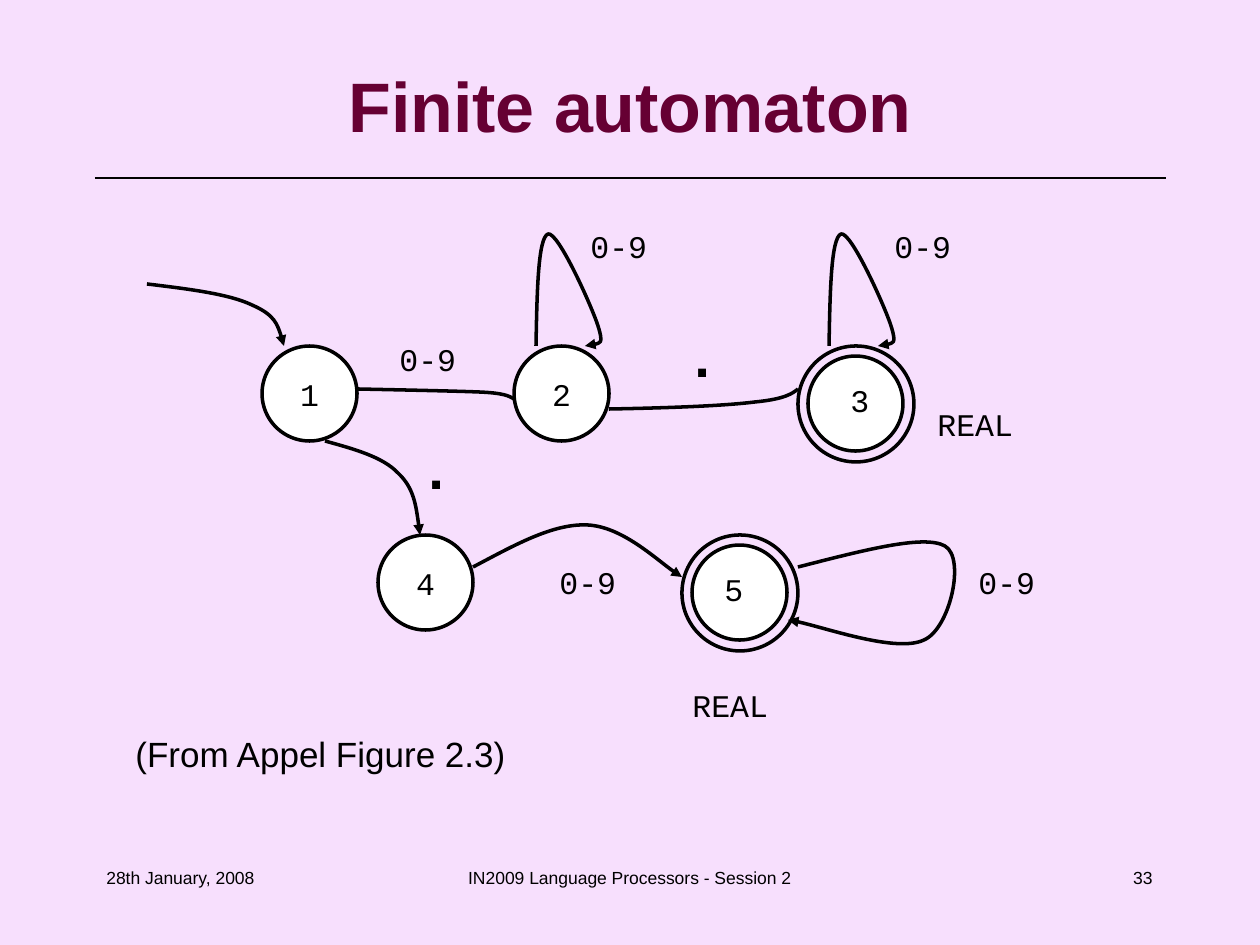
from dataclasses import dataclass

from lxml.etree import SubElement
from pptx import Presentation
from pptx.dml.color import RGBColor
from pptx.enum.shapes import MSO_CONNECTOR, MSO_SHAPE
from pptx.enum.text import MSO_ANCHOR as Anchor, PP_ALIGN as Align
from pptx.oxml.ns import qn
from pptx.util import Emu, Pt

SCALE = 914400 / 126  # EMU in one px


@dataclass(frozen=True)
class Theme:
    background: str = "F7DFFD"
    title: str = "660033"
    ink: str = "000000"
    node: str = "FFFFFF"
    sans: str = "Arial"
    mono: str = "Courier New"
    title_size: int = 40
    dot_size: int = 32
    source_size: int = 20
    label_size: int = 18
    footer_size: int = 10
    rule_width: float = 0.75
    line_width: float = 2


T = Theme()
LABEL = {"name": T.mono, "size": Pt(T.label_size)}
DOT = {"name": T.mono, "size": Pt(T.dot_size), "bold": True}
SOURCE = {"name": T.sans, "size": Pt(T.source_size)}
FOOTER = {"name": T.sans, "size": Pt(T.footer_size)}
TITLE = {"name": T.sans, "size": Pt(T.title_size), "bold": True}

NODE, RING, GAP = 95, 116, 10  # node, outer ring, space between them


def px(*values):
    return [Emu(round(v * SCALE)) for v in values]


def rgb(value):
    return RGBColor.from_string(value)


def write(sp, text, fmt, color=T.ink, align=Align.LEFT, wrap=False,
          anchor=Anchor.TOP):
    tf = sp.text_frame
    tf.word_wrap = wrap
    tf.vertical_anchor = anchor
    p = tf.paragraphs[0]
    p.alignment = align
    r = p.add_run()
    r.text = text
    for name, value in fmt.items():
        setattr(r.font, name, value)
    r.font.color.rgb = rgb(color)


def add_text(slide, box, text, fmt, **options):
    write(slide.shapes.add_textbox(*px(*box)), text, fmt, **options)


def outline(sp, width=T.line_width):
    sp.line.color.rgb = rgb(T.ink)
    sp.line.width = Pt(width)


def add_line(slide, start, end, width):
    line = slide.shapes.add_connector(MSO_CONNECTOR.STRAIGHT,
                                      *px(*start, *end))
    outline(line, width)
    SubElement(line._element.spPr, qn("a:effectLst"))


def add_circle(shapes, left, top, size, filled=True):
    sp = shapes.add_shape(MSO_SHAPE.OVAL, *px(left, top, size, size))
    sp.shadow.inherit = False
    if filled:
        sp.fill.solid()
        sp.fill.fore_color.rgb = rgb(T.node)
    else:
        sp.fill.background()
    outline(sp)
    return sp


def add_state(slide, left, top, name):
    sp = add_circle(slide.shapes, left, top, NODE)
    write(sp, name, LABEL, align=Align.CENTER, anchor=Anchor.MIDDLE)


def add_final_state(slide, left, top, name, label_offset):
    group = slide.shapes.add_group_shape()
    add_circle(group.shapes, left + GAP, top + GAP, NODE)
    add_circle(group.shapes, left, top, RING, filled=False)
    dx, dy = label_offset
    add_text(slide, (left + dx, top + dy, 44, 50), name, LABEL)


def add_curve(slide, points, arrow=True):
    """Draw a start point followed by triples of cubic Bezier points."""
    builder = slide.shapes.build_freeform(*points[0], scale=SCALE)
    builder.add_line_segments(points[1:], close=False)
    sp = builder.convert_to_shape()
    # Gather each three straight segments into one cubic segment
    segments = list(sp._element.iter(qn("a:lnTo")))
    outline_node = segments[0].getparent()
    for i in range(0, len(segments), 3):
        cubic = SubElement(outline_node, qn("a:cubicBezTo"))
        for segment in segments[i:i + 3]:
            cubic.append(segment[0])
            outline_node.remove(segment)
    sp.shadow.inherit = False
    sp.fill.background()
    outline(sp)
    if arrow:
        SubElement(sp.line._get_or_add_ln(), qn("a:tailEnd"), type="triangle")


def add_top_loop(slide, left, top):
    loop = [(0, 0), (1, -54), (2, -108), (12, -112), (22, -115), (56, -39),
            (62, -20), (68, -1), (59, -1), (49, 0)]
    add_curve(slide, [(left + x, top + y) for x, y in loop])


def add_heading(slide, box):
    left, top, width, height = box
    title = slide.shapes.title
    title.left, title.top, title.width, title.height = px(*box)
    write(title, "Finite automaton", TITLE, color=T.title,
          align=Align.CENTER, wrap=True, anchor=Anchor.MIDDLE)
    y = top + height + 10
    add_line(slide, (left + 32, y), (left + width - 31, y), T.rule_width)


def add_automaton(slide, left, top):
    def at(*points):
        return [(left + x, top + y) for x, y in points]

    # States
    for name, x, y in [("1", 115, 115), ("4", 231, 304), ("2", 367, 115)]:
        add_state(slide, left + x, top + y, name)
    for name, x, y, offset in [("3", 651, 115, (40, 29)),
                               ("5", 535, 304, (30, 29))]:
        add_final_state(slide, left + x, top + y, name, offset)

    # Small marks above the entry arrow
    for point in at((21, 11), (32, 11)):
        add_line(slide, point, point, T.line_width)

    # Transitions with arrowheads: entry, 1 to 4, 4 to 5, 5 to itself
    for points in [
        at((0, 53), (41, 58), (82, 63), (105, 74),
           (128, 84), (133, 99), (137, 115)),
        at((178, 210), (207, 218), (236, 226), (251, 242),
           (267, 257), (270, 281), (273, 304)),
        at((326, 336), (366, 315), (406, 292), (441, 294),
           (475, 296), (519, 337), (535, 346)),
        at((651, 336), (714, 320), (777, 303), (798, 315),
           (819, 327), (803, 398), (777, 409),
           (750, 422), (662, 391), (641, 389)),
    ]:
        add_curve(slide, points)

    # Plain transitions: 1 to 2, 2 to 3
    for points in [
        at((210, 158), (257, 159), (305, 160), (331, 161),
           (357, 162), (362, 165), (367, 168)),
        at((462, 178), (519, 177), (576, 175), (608, 171),
           (639, 168), (646, 162), (651, 158)),
    ]:
        add_curve(slide, points, arrow=False)

    # Loops above states 2 and 3
    for x in (389, 682):
        add_top_loop(slide, left + x, top + 115)

    # Transition and token labels
    for text, fmt, (width, height), places in [
        ("0-9", LABEL, (82, 50), [(240, 103), (431, -10), (735, -10),
                                  (819, 326), (400, 326)]),
        (".", DOT, (58, 81), [(260, 196), (526, 84)]),
        ("REAL", LABEL, (101, 50), [(533, 449), (778, 168)]),
    ]:
        for x, y in at(*places):
            add_text(slide, (x, y, width, height), text, fmt)


def add_footer(slide, left, top, height):
    for x, width, text, align in [
        (0, 262, "28th January, 2008", Align.LEFT),
        (336, 399, "IN2009 Language Processors - Session 2", Align.CENTER),
        (809, 262, "33", Align.RIGHT),
    ]:
        add_text(slide, (left + x, top, width, height), text, FOOTER,
                 align=align, wrap=True)


def main():
    prs = Presentation()
    prs.slide_width, prs.slide_height = px(1260, 945)
    slide = prs.slides.add_slide(prs.slide_layouts[5])
    slide.background.fill.solid()
    slide.background.fill.fore_color.rgb = rgb(T.background)

    add_heading(slide, (63, 42, 1134, 126))
    add_automaton(slide, 147, 231)
    add_text(slide, (123, 726, 397, 55), "(From Appel Figure 2.3)", SOURCE)
    add_footer(slide, 94, 861, 63)
    prs.save("out.pptx")


if __name__ == "__main__":
    main()
